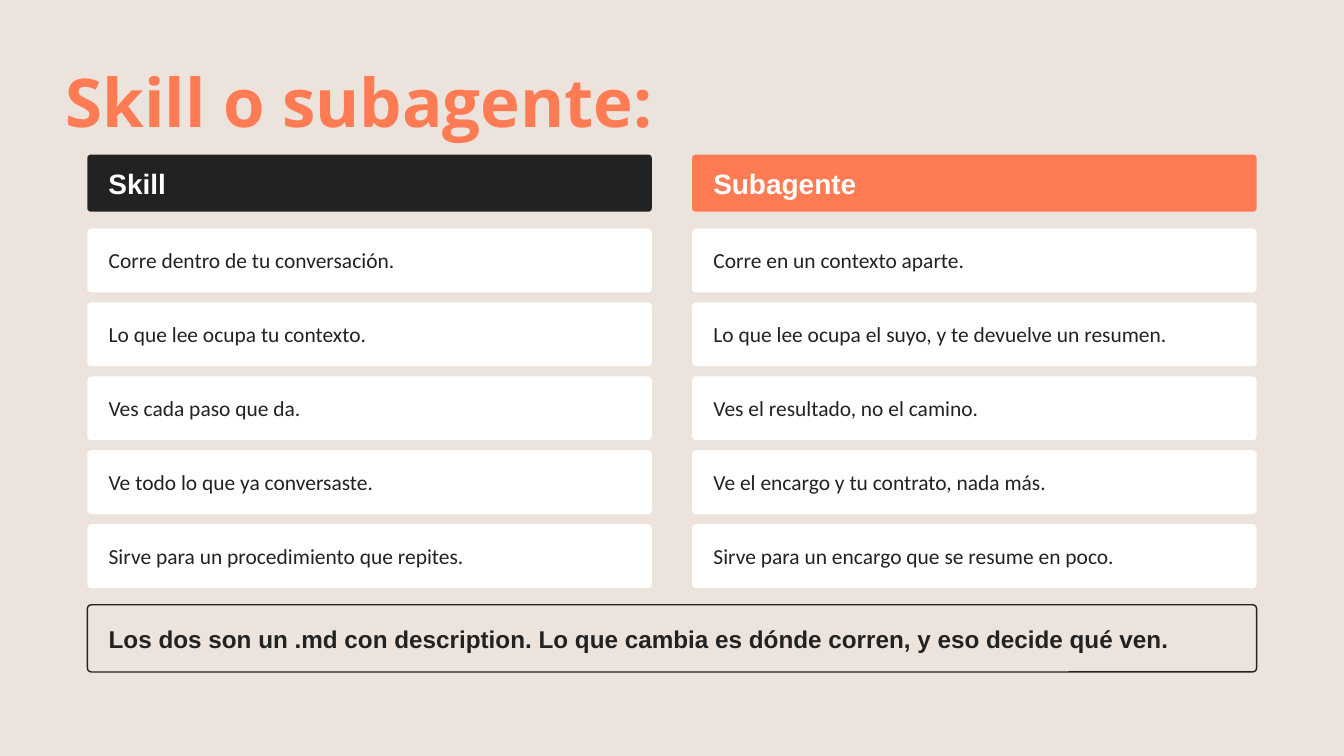
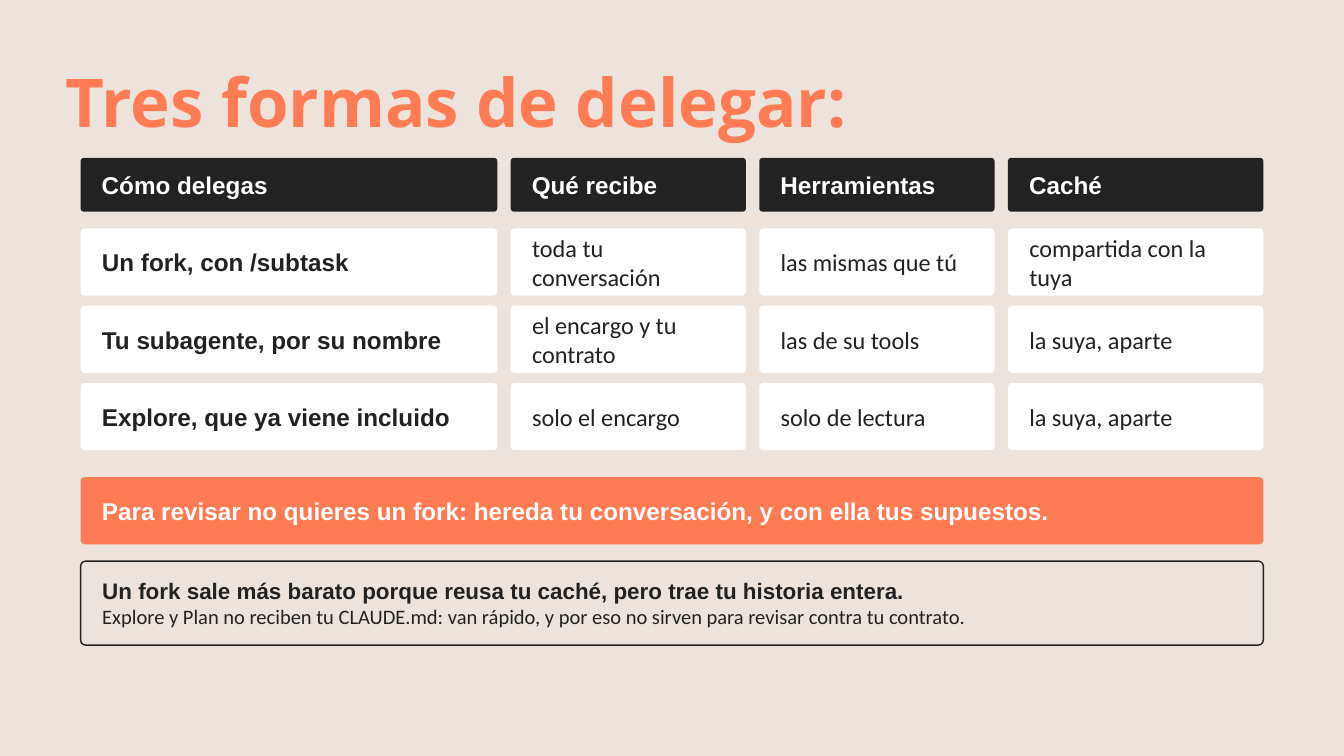
from pptx import Presentation
from pptx.dml.color import RGBColor
from pptx.enum import shapes, text
from pptx.util import Inches, Pt

SAND = RGBColor(0xEC, 0xE4, 0xDC)
CORAL = RGBColor(0xFF, 0x7B, 0x54)
INK = RGBColor(0x22, 0x22, 0x22)
WHITE = RGBColor(0xFF, 0xFF, 0xFF)

TITLE_FONT, HEAD_FONT, BODY_FONT = "Open Sans", "Arial", "Calibri"


def add_run(p, words, size, color, font=BODY_FONT, bold=False):
    r = p.add_run()
    r.text = words
    r.font.name, r.font.size, r.font.bold = font, Pt(size), bold
    r.font.color.rgb = color


def add_strong(p, words, size, color):
    add_run(p, words, size, color, HEAD_FONT, True)


def set_margins(tf, side, top):
    tf.margin_left = tf.margin_right = Inches(side)
    tf.margin_top = tf.margin_bottom = Inches(top)


def add_titled_slide(prs, title):
    s = prs.slides.add_slide(prs.slide_layouts[5])
    sp = s.shapes.title
    sp.left, sp.top, sp.width, sp.height = map(Inches, (0.98, 0.69, 18, 1.34))
    tf = sp.text_frame
    set_margins(tf, 0, 0)
    tf.word_wrap = True
    tf.vertical_anchor = text.MSO_ANCHOR.TOP
    tf.auto_size = text.MSO_AUTO_SIZE.SHAPE_TO_FIT_TEXT
    p = tf.paragraphs[0]
    p.alignment = text.PP_ALIGN.LEFT
    p.line_spacing = Pt(100.8)
    add_run(p, title, 72, CORAL, TITLE_FONT, True)
    return s


def add_card(s, x, y, w, h, fill=None):
    """Rounded card, outlined when it has no fill; returns its text frame."""
    sp = s.shapes.add_shape(shapes.MSO_SHAPE.ROUNDED_RECTANGLE,
                            *map(Inches, (x, y, w, h)))
    sp.adjustments[0] = 0.06
    sp.shadow.inherit = False
    if fill is None:
        sp.fill.background()
        sp.line.color.rgb = INK
        sp.line.width = Pt(1.5)
    else:
        sp.fill.solid()
        sp.fill.fore_color.rgb = fill
        sp.line.fill.background()
    tf = sp.text_frame
    tf.word_wrap = True
    tf.vertical_anchor = text.MSO_ANCHOR.MIDDLE
    set_margins(tf, 0.3, 0.1)
    tf.paragraphs[0].alignment = text.PP_ALIGN.LEFT
    return tf


def add_column(s, x, y, w, heading, color, facts):
    """A coloured heading above a stack of equal cards."""
    tf = add_card(s, x, y, w, 0.85, color)
    add_strong(tf.paragraphs[0], heading, 30, WHITE)
    for i, fact in enumerate(facts):
        tf = add_card(s, x, y + 1.1 + 1.1 * i, w, 0.95, WHITE)
        add_run(tf.paragraphs[0], fact, 23, INK)


def add_card_grid(s, x, y, widths, headings, rows):
    """Heading cards above rows of cards, with the first column in bold."""
    gap = 0.2
    lefts = [x + sum(widths[:i]) + gap * i for i in range(len(widths))]
    for left, w, heading in zip(lefts, widths, headings):
        tf = add_card(s, left, y, w, 0.8, INK)
        add_strong(tf.paragraphs[0], heading, 26, WHITE)
    for i, row in enumerate(rows):
        for j, (left, w, words) in enumerate(zip(lefts, widths, row)):
            tf = add_card(s, left, y + 1.05 + 1.15 * i, w, 1, WHITE)
            add = add_strong if j == 0 else add_run
            add(tf.paragraphs[0], words, 26, INK)


def build_comparison(prs):
    s = add_titled_slide(prs, "Skill o subagente:")
    columns = [
        ("Skill", INK, [
            "Corre dentro de tu conversación.",
            "Lo que lee ocupa tu contexto.",
            "Ves cada paso que da.",
            "Ve todo lo que ya conversaste.",
            "Sirve para un procedimiento que repites.",
        ]),
        ("Subagente", CORAL, [
            "Corre en un contexto aparte.",
            "Lo que lee ocupa el suyo, y te devuelve un resumen.",
            "Ves el resultado, no el camino.",
            "Ve el encargo y tu contrato, nada más.",
            "Sirve para un encargo que se resume en poco.",
        ]),
    ]
    for i, column in enumerate(columns):
        add_column(s, 1.3 + 9 * i, 2.3, 8.4, *column)

    # Conclusion
    tf = add_card(s, 1.3, 9, 17.4, 1)
    add_strong(tf.paragraphs[0],
               "Los dos son un .md con description. "
               "Lo que cambia es dónde corren, y eso decide qué ven.", 26, INK)


def build_delegation(prs):
    s = add_titled_slide(prs, "Tres formas de delegar:")
    add_card_grid(
        s, 1.2, 2.35, [6.2, 3.5, 3.5, 3.8],
        ["Cómo delegas", "Qué recibe", "Herramientas", "Caché"],
        [
            ["Un fork, con /subtask", "toda tu conversación",
             "las mismas que tú", "compartida con la tuya"],
            ["Tu subagente, por su nombre", "el encargo y tu contrato",
             "las de su tools", "la suya, aparte"],
            ["Explore, que ya viene incluido", "solo el encargo",
             "solo de lectura", "la suya, aparte"],
        ])

    # Warning
    tf = add_card(s, 1.2, 7.1, 17.6, 1, CORAL)
    add_strong(tf.paragraphs[0],
               "Para revisar no quieres un fork: hereda tu conversación, "
               "y con ella tus supuestos.", 26, WHITE)

    # Cost note
    tf = add_card(s, 1.2, 8.35, 17.6, 1.25)
    add_strong(tf.paragraphs[0],
               "Un fork sale más barato porque reusa tu caché, "
               "pero trae tu historia entera.", 24, INK)
    p = tf.add_paragraph()
    p.alignment = text.PP_ALIGN.LEFT
    add_run(p, "Explore y Plan no reciben tu CLAUDE.md: van rápido, "
               "y por eso no sirven para revisar contra tu contrato.", 22, INK)


def main():
    prs = Presentation()
    prs.slide_width, prs.slide_height = Inches(20), Inches(11.25)
    background = prs.slide_master.background.fill
    background.solid()
    background.fore_color.rgb = SAND
    build_comparison(prs)
    build_delegation(prs)
    prs.save("out.pptx")


if __name__ == "__main__":
    main()
